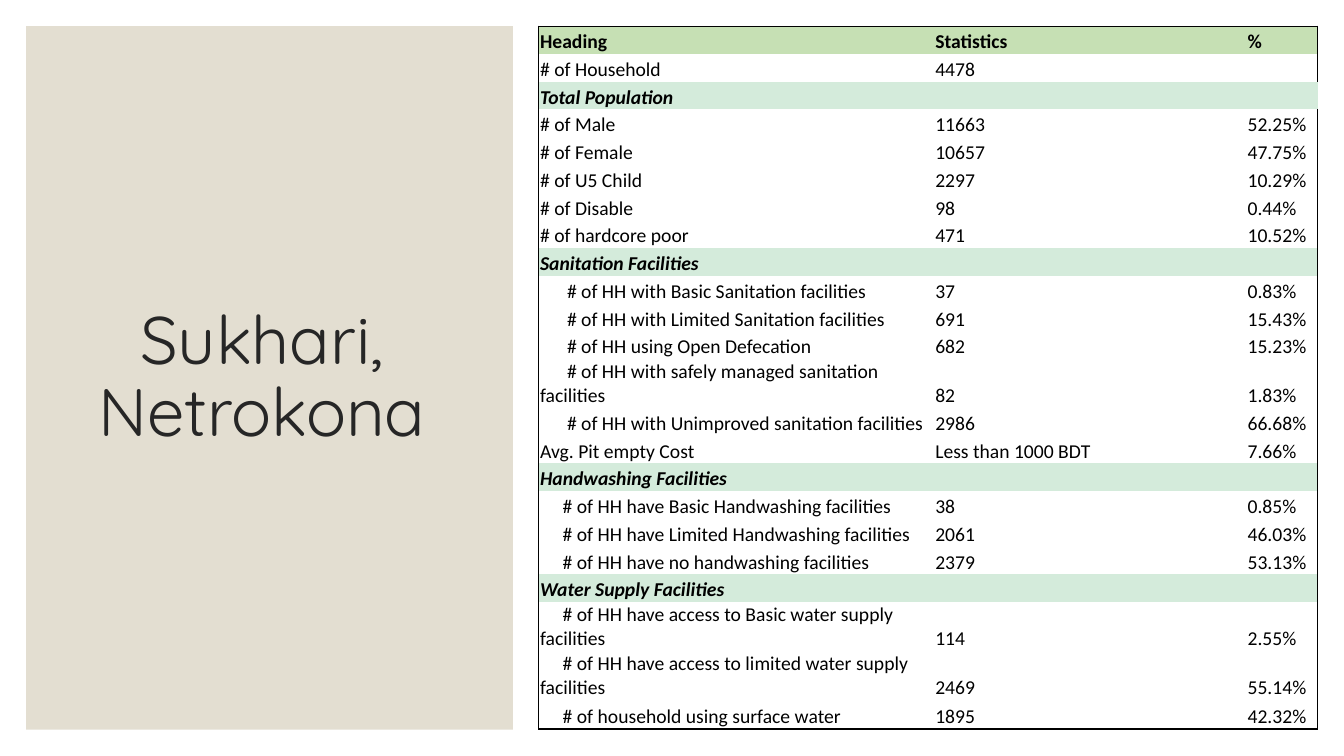
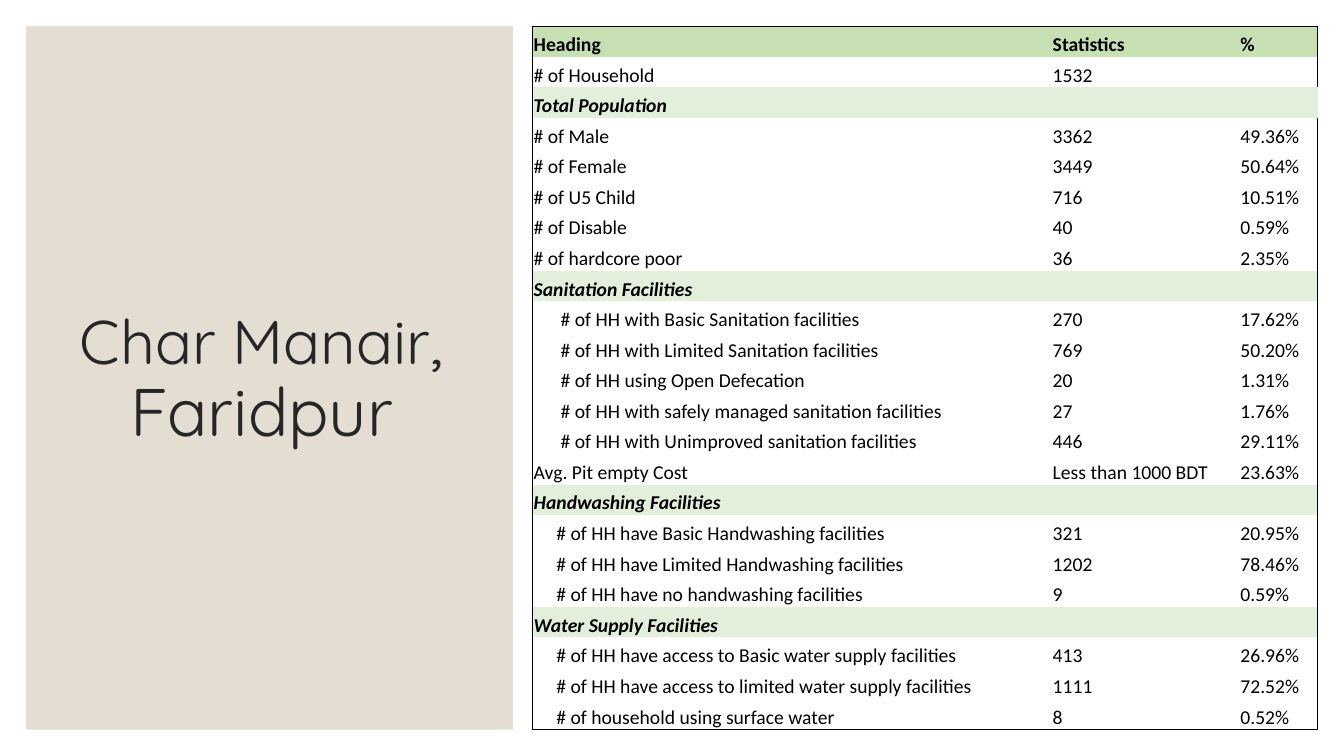
"""Build two slides of community sanitation statistics."""
from dataclasses import dataclass

from lxml import etree
from pptx import Presentation
from pptx.dml.color import RGBColor
from pptx.enum.shapes import MSO_SHAPE
from pptx.enum.text import MSO_ANCHOR, PP_ALIGN
from pptx.oxml.ns import qn
from pptx.util import Cm, Pt

RECT = MSO_SHAPE.RECTANGLE
MIDDLE, BOTTOM = MSO_ANCHOR.MIDDLE, MSO_ANCHOR.BOTTOM
CENTER = PP_ALIGN.CENTER
NO_STYLE = "{2D5ABB26-0587-4C30-8999-92F81FD0307C}"


@dataclass(frozen=True)
class Theme:
    """Colours, fonts and type sizes shared by the slides."""
    panel: str = "E3DED1"
    title: str = "262626"
    text: str = "000000"
    border: str = "000000"
    header: str = "C6E0B4"
    title_font: str = "Quicksand"
    body_font: str = "Calibri"
    title_size: int = 48
    title_small: int = 44
    body_size: int = 14
    border_pt: int = 1


@dataclass(frozen=True)
class Community:
    """Content and table layout of one slide."""
    title: tuple
    left: float
    cols: tuple
    rows: tuple
    band: str
    figures: tuple


THEME = Theme()
TOP, HEIGHT = 0.66, 17.73
HEADER, PLAIN, SECTION, SANITATION, SUPPLY = range(5)
INDENT = {SANITATION: 0.68, SUPPLY: 0.57}

LABELS = (
    (HEADER, "Heading"),
    (PLAIN, "# of Household"),
    (SECTION, "Total Population"),
    (PLAIN, "# of Male"),
    (PLAIN, "# of Female"),
    (PLAIN, "# of U5 Child"),
    (PLAIN, "# of Disable"),
    (PLAIN, "# of hardcore poor"),
    (SECTION, "Sanitation Facilities"),
    (SANITATION, "# of HH with Basic Sanitation facilities"),
    (SANITATION, "# of HH with Limited Sanitation facilities"),
    (SANITATION, "# of HH using Open Defecation"),
    (SANITATION, "# of HH with safely managed sanitation facilities"),
    (SANITATION, "# of HH with Unimproved sanitation facilities"),
    (PLAIN, "Avg. Pit empty Cost"),
    (SECTION, "Handwashing Facilities"),
    (SUPPLY, "# of HH have Basic Handwashing facilities"),
    (SUPPLY, "# of HH have Limited Handwashing facilities"),
    (SUPPLY, "# of HH have no handwashing facilities"),
    (SECTION, "Water Supply Facilities"),
    (SUPPLY, "# of HH have access to Basic water supply facilities"),
    (SUPPLY, "# of HH have access to limited water supply facilities"),
    (SUPPLY, "# of household using surface water"),
)
OPEN_ROW = 2

COMMUNITIES = (
    Community(
        title=(("Sukhari, Netrokona", THEME.title_size),),
        left=13.58,
        cols=(9.96, 7.87, 1.8),
        rows=(0.7,) * 12 + (1.23,) + (0.7,) * 7 + (1.23, 1.23, 0.74),
        band="D4EBDB",
        figures=(
            ("4478", ""), ("11663", "52.25%"), ("10657", "47.75%"),
            ("2297", "10.29%"), ("98", "0.44%"), ("471", "10.52%"),
            ("37", "0.83%"), ("691", "15.43%"), ("682", "15.23%"),
            ("82", "1.83%"), ("2986", "66.68%"),
            ("Less than 1000 BDT", "7.66%"),
            ("38", "0.85%"), ("2061", "46.03%"), ("2379", "53.13%"),
            ("114", "2.55%"), ("2469", "55.14%"), ("1895", "42.32%"),
        ),
    ),
    Community(
        title=(("Char Manair", THEME.title_small),
               (", Faridpur", THEME.title_size)),
        left=13.42,
        cols=(13.08, 4.73, 1.98),
        rows=(0.77,) * 22 + (0.79,),
        band="E2EFDA",
        figures=(
            ("1532", ""), ("3362", "49.36%"), ("3449", "50.64%"),
            ("716", "10.51%"), ("40", "0.59%"), ("36", "2.35%"),
            ("270", "17.62%"), ("769", "50.20%"), ("20", "1.31%"),
            ("27", "1.76%"), ("446", "29.11%"),
            ("Less than 1000 BDT", "23.63%"),
            ("321", "20.95%"), ("1202", "78.46%"), ("9", "0.59%"),
            ("413", "26.96%"), ("1111", "72.52%"), ("8", "0.52%"),
        ),
    ),
)


def rgb(value):
    """Turn a hex string into a colour."""
    return RGBColor.from_string(value)


def style_run(r, font, size, color, bold=False, italic=False):
    """Set the look of a run."""
    f = r.font
    f.name, f.size, f.bold, f.italic = font, Pt(size), bold, italic
    f.color.rgb = rgb(color)


def add_panel(s):
    """Add the coloured panel behind the title."""
    sp = s.shapes.add_shape(RECT, Cm(0.66), Cm(TOP), Cm(12.27), Cm(HEIGHT))
    sp.shadow.inherit = False
    sp.fill.solid()
    sp.fill.fore_color.rgb = rgb(THEME.panel)
    sp.line.fill.background()


def add_title(s, runs):
    """Add the centred title."""
    sp = s.shapes.add_textbox(Cm(1.14), Cm(1.55), Cm(10.92), Cm(15.98))
    tf = sp.text_frame
    tf.word_wrap = True
    tf.vertical_anchor = MIDDLE
    p = tf.paragraphs[0]
    p.alignment = CENTER
    p.line_spacing = 0.9
    for text, size in runs:
        r = p.add_run()
        r.text = text
        style_run(r, THEME.title_font, size, THEME.title)


def add_borders(cell, sides):
    """Draw the named sides of a cell and clear the others."""
    tcPr = cell._tc.get_or_add_tcPr()
    for side in "LRTB":
        ln = etree.SubElement(tcPr, qn(f"a:ln{side}"))
        if side in sides:
            ln.set("w", str(Pt(THEME.border_pt)))
            fill = etree.SubElement(ln, qn("a:solidFill"))
            etree.SubElement(fill, qn("a:srgbClr"), val=THEME.border)
        else:
            ln.set("w", "0")
            etree.SubElement(ln, qn("a:noFill"))


def outer_sides(row, col, last_row, last_col):
    """Name the sides of a cell that lie on the table frame."""
    sides = "L" if col == 0 else ""
    if col == last_col and row != OPEN_ROW:
        sides += "R"
    if row == 0:
        sides += "T"
    if row == last_row:
        sides += "B"
    return sides


def fill_cell(cell, text, kind, indent, color):
    """Write and format one cell."""
    cell.margin_left = cell.margin_right = cell.margin_top = Cm(0.03)
    cell.margin_bottom = 0
    cell.vertical_anchor = BOTTOM
    if color:
        cell.fill.solid()
        cell.fill.fore_color.rgb = rgb(color)
    else:
        cell.fill.background()
    p = cell.text_frame.paragraphs[0]
    p.text = text
    if indent:
        p._p.get_or_add_pPr().set("indent", str(Cm(indent)))
    for r in p.runs:
        style_run(r, THEME.body_font, THEME.body_size, THEME.text,
                  kind in (HEADER, SECTION), kind == SECTION)
    if not text:
        end = p._p.get_or_add_endParaRPr()
        end.set("sz", str(THEME.body_size * 100))


def table_rows(figures):
    """Yield the kind and the three texts of each row."""
    values = iter(figures)
    for kind, label in LABELS:
        if kind == HEADER:
            yield kind, (label, "Statistics", "%")
        elif kind == SECTION:
            yield kind, (label, "", "")
        else:
            yield kind, (label, *next(values))


def add_statistics(s, community):
    """Add the table of statistics."""
    cols, rows = community.cols, community.rows
    table = s.shapes.add_table(
        len(rows), len(cols), Cm(community.left), Cm(TOP),
        Cm(sum(cols)), Cm(sum(rows))).table
    table.first_row = table.horz_banding = False
    table._tbl.tblPr.find(qn("a:tableStyleId")).text = NO_STYLE
    for column, width in zip(table.columns, cols):
        column.width = Cm(width)
    for row, height in zip(table.rows, rows):
        row.height = Cm(height)
    fills = {HEADER: THEME.header, SECTION: community.band}
    last_row, last_col = len(rows) - 1, len(cols) - 1
    for i, (kind, texts) in enumerate(table_rows(community.figures)):
        for j, text in enumerate(texts):
            cell = table.cell(i, j)
            sides = outer_sides(i, j, last_row, last_col)
            if kind == SECTION and j == 0 and i != OPEN_ROW:
                sides += "R"
            add_borders(cell, sides)
            indent = INDENT.get(kind) if j == 0 else None
            fill_cell(cell, text, kind, indent, fills.get(kind))
        if kind == SECTION:
            table.cell(i, 0).merge(table.cell(i, last_col))


def main():
    """Build and save the presentation."""
    prs = Presentation()
    prs.slide_width, prs.slide_height = Cm(33.87), Cm(19.05)
    for community in COMMUNITIES:
        s = prs.slides.add_slide(prs.slide_layouts[6])
        add_panel(s)
        add_title(s, community.title)
        add_statistics(s, community)
    prs.save("out.pptx")


if __name__ == "__main__":
    main()
